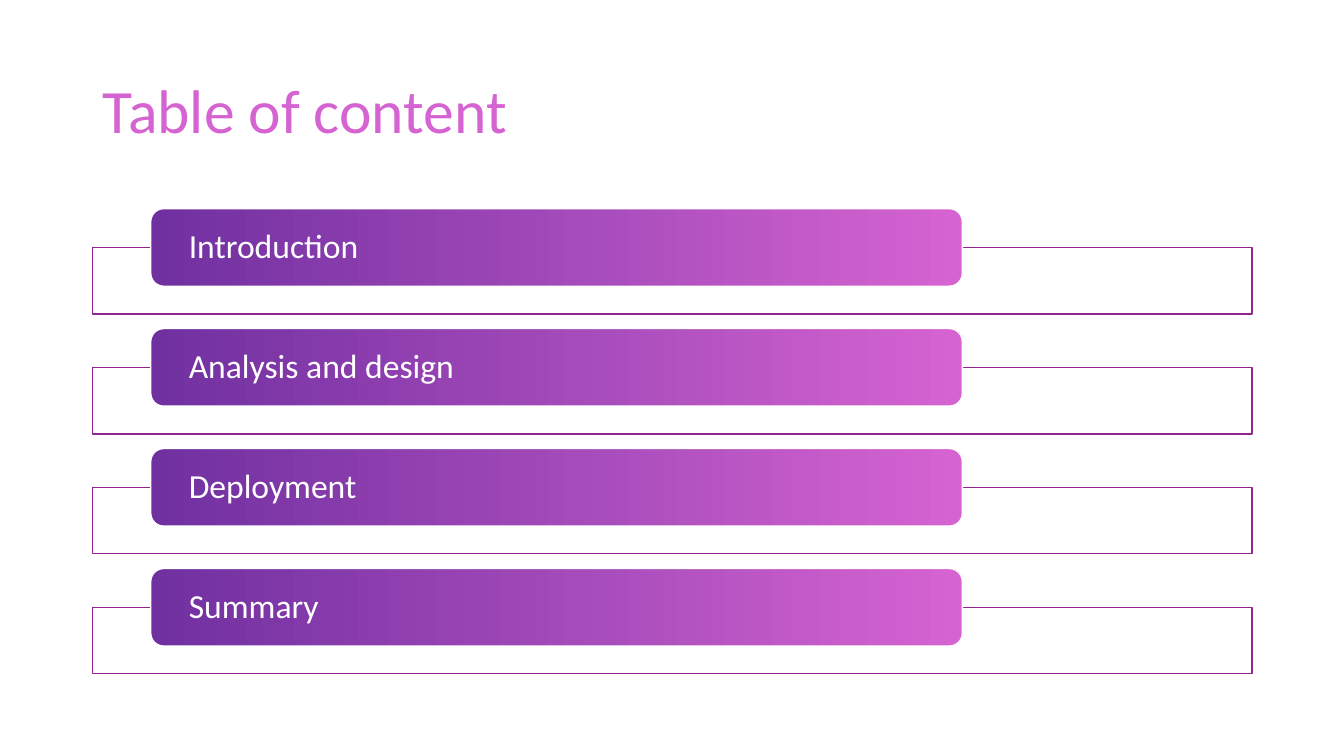
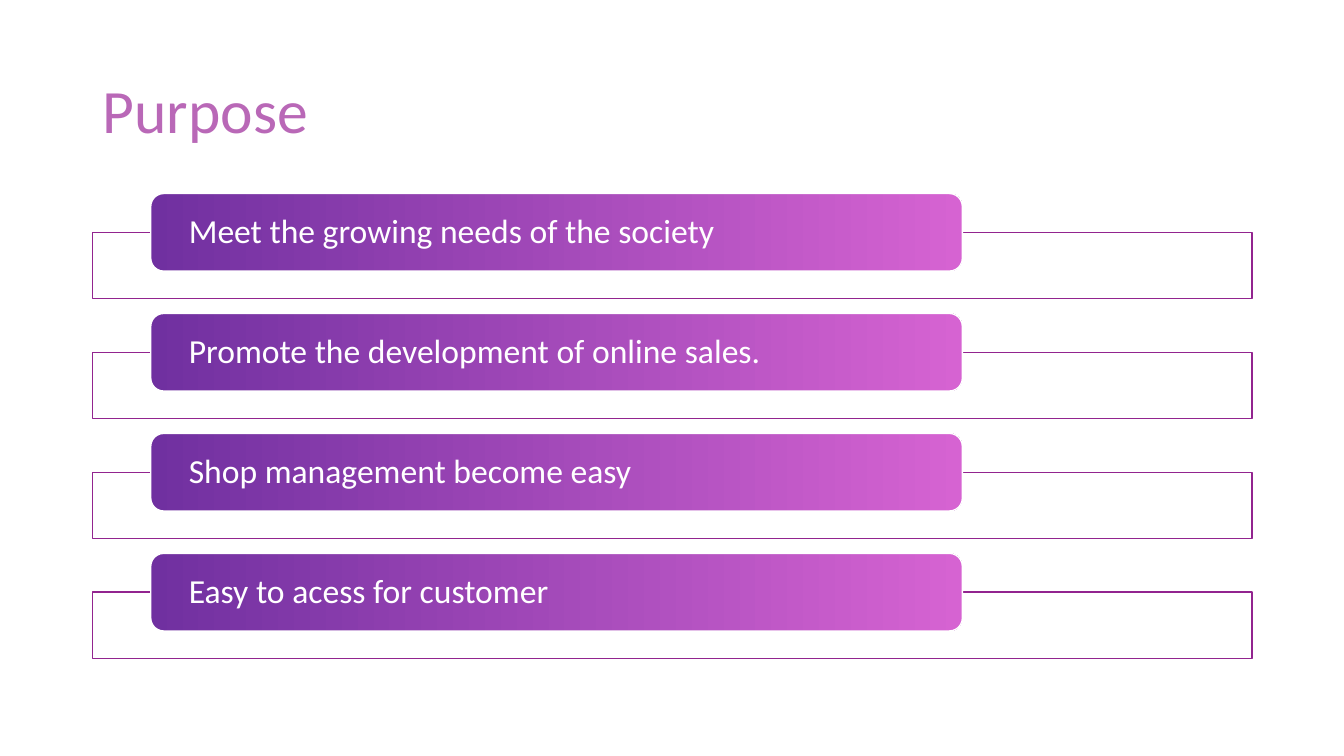
from pptx import Presentation
from pptx.dml.color import RGBColor
from pptx.enum.shapes import MSO_SHAPE as Shape
from pptx.enum.text import MSO_ANCHOR as Anchor, MSO_AUTO_SIZE as AutoSize, PP_ALIGN as Align
from pptx.util import Inches, Pt

WHITE = RGBColor(0xFF, 0xFF, 0xFF)
ORCHID = RGBColor(0xD6, 0x63, 0xD2)
MAUVE = RGBColor(0xB9, 0x68, 0xB7)
PURPLE = RGBColor(0x70, 0x30, 0xA0)
PLUM = RGBColor(0x92, 0x24, 0x8F)
FONT = "Calibri"

SLIDES = [
    ("Table of content", ORCHID, 2.07,
     ["Introduction", "Analysis and design", "Deployment", "Summary"]),
    ("Purpose", MAUVE, 1.92,
     ["Meet the growing needs of the society",
      "Promote the development of online sales.",
      "Shop management become easy",
      "Easy to acess for customer"]),
]

LEFT, WIDTH = 0.92, 11.5
TITLE_TOP, TITLE_HEIGHT = 0.4, 1.45
ROW_PITCH = 1.19
BAR_INDENT, BAR_WIDTH, BAR_HEIGHT = WIDTH * 0.05, WIDTH * 0.7, 0.77
FRAME_HEIGHT = 0.66
TEXT_INSET = 0.34


def style_text(shape, text, size, color):
    frame = shape.text_frame
    frame.text = text
    frame.word_wrap = True
    frame.auto_size = AutoSize.NONE
    frame.vertical_anchor = Anchor.MIDDLE
    paragraph = frame.paragraphs[0]
    paragraph.alignment = Align.LEFT
    paragraph.line_spacing = 0.9
    paragraph.font.name = FONT
    paragraph.font.size = Pt(size)
    paragraph.font.color.rgb = color


def add_box(slide, kind, left, top, width, height, line_color):
    shape = slide.shapes.add_shape(kind, *map(Inches, (left, top, width, height)))
    shape.shadow.inherit = False
    shape.line.color.rgb = line_color
    shape.line.width = Pt(1)
    return shape


def add_title(slide, text, color):
    title = slide.shapes.title
    title.left, title.top = Inches(LEFT), Inches(TITLE_TOP)
    title.width, title.height = Inches(WIDTH), Inches(TITLE_HEIGHT)
    style_text(title, text, 44, color)


def add_row(slide, text, top):
    frame_box = add_box(slide, Shape.RECTANGLE, LEFT, top + BAR_HEIGHT / 2,
                        WIDTH, FRAME_HEIGHT, PLUM)
    frame_box.fill.solid()
    frame_box.fill.fore_color.rgb = WHITE

    bar = add_box(slide, Shape.ROUNDED_RECTANGLE, LEFT + BAR_INDENT, top,
                  BAR_WIDTH, BAR_HEIGHT, WHITE)
    bar.fill.gradient()
    bar.fill.gradient_angle = 0
    for stop, color in zip(bar.fill.gradient_stops, (PURPLE, ORCHID)):
        stop.color.rgb = color
    style_text(bar, text, 24, WHITE)
    bar.text_frame.margin_left = bar.text_frame.margin_right = Inches(TEXT_INSET)
    bar.text_frame.margin_top = bar.text_frame.margin_bottom = 0


def main():
    presentation = Presentation()
    presentation.slide_width, presentation.slide_height = Inches(13.33), Inches(7.5)
    title_only = presentation.slide_layouts.get_by_name("Title Only")
    for title, color, first_top, items in SLIDES:
        slide = presentation.slides.add_slide(title_only)
        add_title(slide, title, color)
        for index, item in enumerate(items):
            add_row(slide, item, first_top + index * ROW_PITCH)
    presentation.save("out.pptx")


if __name__ == "__main__":
    main()
